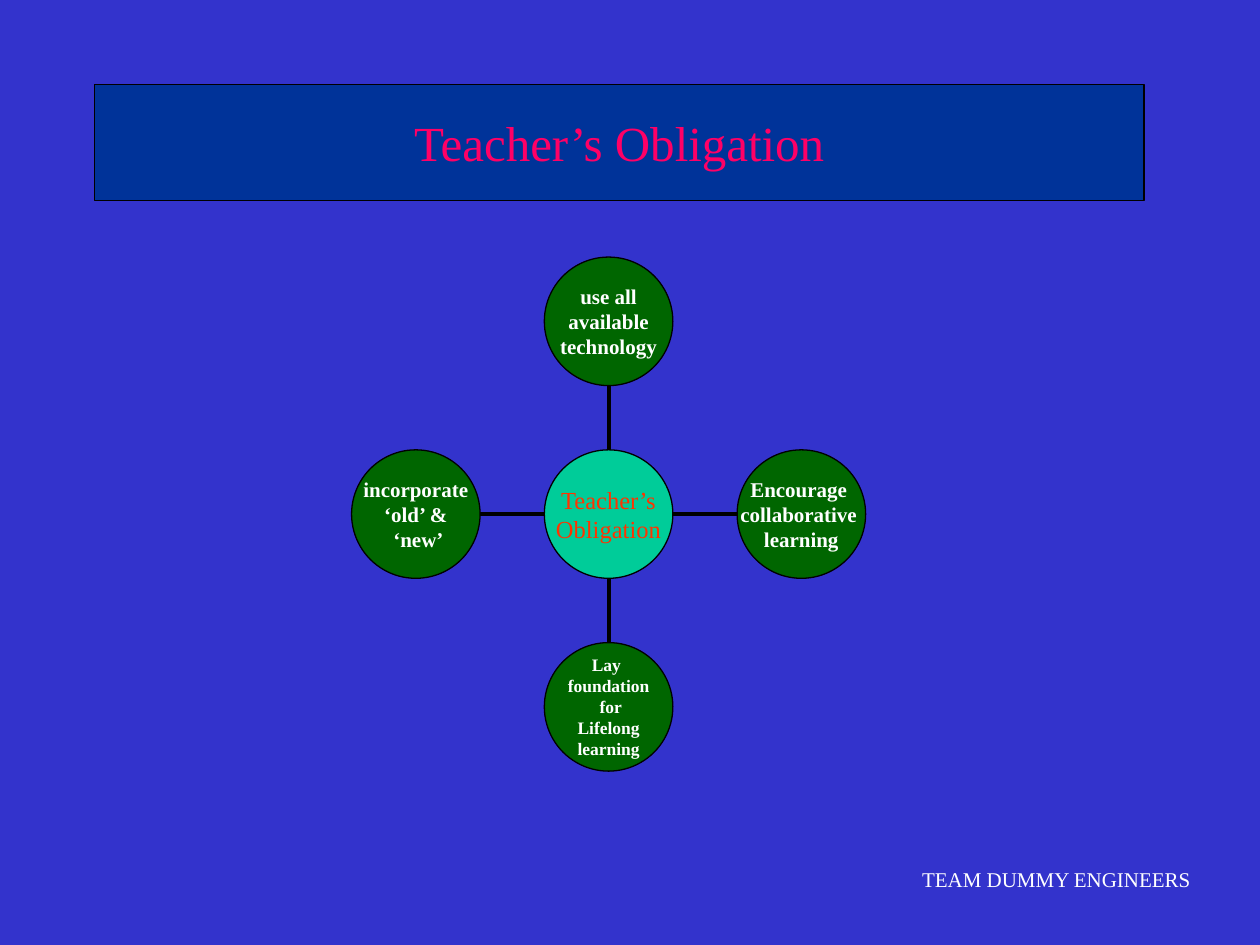
from lxml import etree
from pptx import Presentation
from pptx.dml.color import RGBColor
from pptx.enum.shapes import MSO_CONNECTOR, MSO_SHAPE
from pptx.enum.text import MSO_ANCHOR, MSO_AUTO_SIZE, PP_ALIGN
from pptx.oxml.ns import qn
from pptx.util import Inches, Pt

STRAIGHT = MSO_CONNECTOR.STRAIGHT
OVAL = MSO_SHAPE.OVAL
MIDDLE, TOP = MSO_ANCHOR.MIDDLE, MSO_ANCHOR.TOP
CENTER, LEFT = PP_ALIGN.CENTER, PP_ALIGN.LEFT
NO_FIT = MSO_AUTO_SIZE.NONE

COLORS = {
    "background": "3333CC",
    "banner": "003399",
    "title": "FF0066",
    "hub": "00CC99",
    "hub text": "FF3300",
    "duty": "006600",
    "text": "FFFFFF",
    "line": "000000",
}
FONT = "Times New Roman"

TITLE = "Teacher’s Obligation"
FOOTER = "TEAM DUMMY ENGINEERS"
HUB = ["Teacher’s", "Obligation"]
DUTIES = [
    ((-1, 0), 12, ["incorporate", "‘old’ &", " ‘new’"]),
    ((0, 1), 10, ["Lay ", "foundation", " for", "Lifelong", "learning"]),
    ((1, 0), 12, ["Encourage ", "collaborative ", "learning"]),
    ((0, -1), 12, ["use all", "available", "technology"]),
]

CENTER_X, CENTER_Y = 4.83, 4.08
DIAMETER = 1.02
RADIUS = DIAMETER / 2
SPACING = 1.53


def color(name):
    return RGBColor.from_string(COLORS[name])


def write(shape, lines, size, ink, bold=False, align=CENTER, anchor=MIDDLE, wrap=False):
    frame = shape.text_frame
    frame_format = {"auto_size": NO_FIT, "word_wrap": wrap, "vertical_anchor": anchor}
    for key, value in frame_format.items():
        setattr(frame, key, value)
    frame.text = "\n".join(lines)
    font_format = {"name": FONT, "size": Pt(size), "bold": bold}
    for paragraph in frame.paragraphs:
        paragraph.alignment = align
        font = paragraph.runs[0].font
        for key, value in font_format.items():
            setattr(font, key, value)
        font.color.rgb = color(ink)


def paint(shape, fill):
    shape.fill.solid()
    shape.fill.fore_color.rgb = color(fill)
    shape.line.color.rgb = color("line")
    shape.line.width = Pt(0.75)


def add_circle(shapes, x, y, fill):
    circle = shapes.add_shape(OVAL, Inches(x - RADIUS), Inches(y - RADIUS),
                              Inches(DIAMETER), Inches(DIAMETER))
    circle.shadow.inherit = False
    paint(circle, fill)
    return circle


def add_spoke(shapes, dx, dy):
    outer = SPACING - RADIUS
    spoke = shapes.add_connector(
        STRAIGHT,
        Inches(CENTER_X + dx * RADIUS), Inches(CENTER_Y + dy * RADIUS),
        Inches(CENTER_X + dx * outer), Inches(CENTER_Y + dy * outer))
    spoke.line.color.rgb = color("line")
    spoke.line.width = Pt(2.25)
    etree.SubElement(spoke._element.spPr, qn("a:effectLst"))


def main():
    deck = Presentation()
    deck.slide_width, deck.slide_height = Inches(10), Inches(7.5)
    slide = deck.slides.add_slide(deck.slide_layouts[5])
    slide.background.fill.solid()
    slide.background.fill.fore_color.rgb = color("background")

    footer = slide.shapes.add_textbox(Inches(7.22), Inches(6.83), Inches(2.34), Inches(0.3))
    write(footer, [FOOTER], 12, "text", align=LEFT, anchor=TOP)

    title = slide.shapes.title
    title_place = {"left": 0.75, "top": 0.67, "width": 8.33, "height": 0.92}
    for key, value in title_place.items():
        setattr(title, key, Inches(value))
    paint(title, "banner")
    write(title, [TITLE], 28, "title", wrap=True)

    diagram = slide.shapes.add_group_shape().shapes
    for (dx, dy), size, lines in DUTIES:
        add_spoke(diagram, dx, dy)
        duty = add_circle(diagram, CENTER_X + dx * SPACING, CENTER_Y + dy * SPACING, "duty")
        write(duty, lines, size, "text", bold=True)
    hub = add_circle(diagram, CENTER_X, CENTER_Y, "hub")
    write(hub, HUB, 14, "hub text")

    deck.save("out.pptx")


if __name__ == "__main__":
    main()
